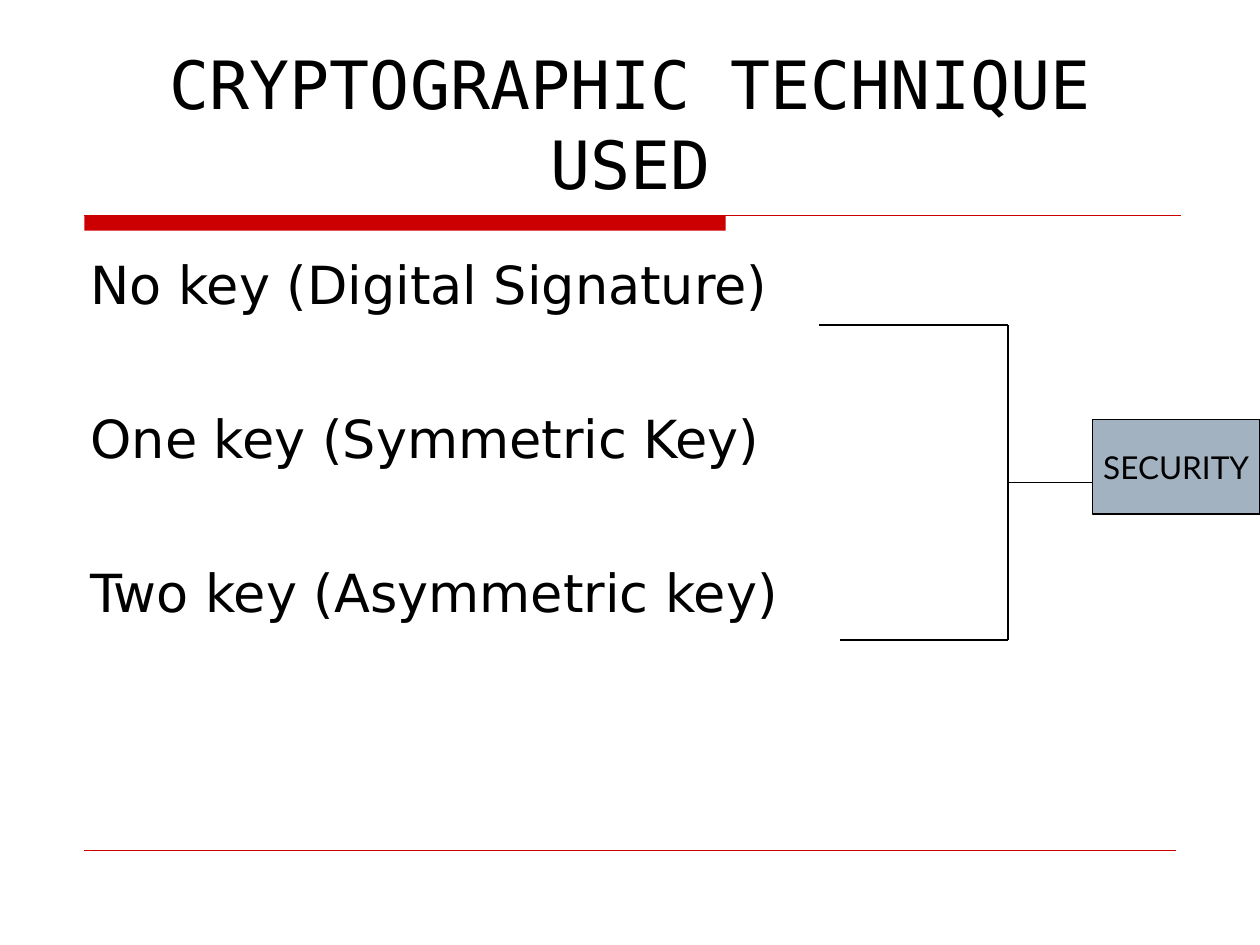
from dataclasses import dataclass

from pptx import Presentation
from pptx import util as u
from pptx.dml.color import RGBColor
from pptx.enum import shapes, text
from pptx.oxml.ns import qn


@dataclass(frozen=True)
class Theme:
    """Colours, fonts and sizes of the slide."""
    black: str = "000000"
    red: str = "CC0000"
    box: str = "A3B2C1"
    title: tuple = ("DejaVu Sans Mono", 38)
    body: tuple = ("DejaVu Sans", 30)
    label: tuple = ("Lato", 18)
    item_gap: float = 52
    line: float = 0.75
    hairline: float = 0.25


THEME = Theme()
TITLE = "CRYPTOGRAPHIC TECHNIQUE USED"
TECHNIQUES = ("No key (Digital Signature)", "One key (Symmetric Key)", "Two key (Asymmetric key)")


def apply_format(target, values):
    """Set every attribute named in values on target."""
    for name, value in values.items():
        setattr(target, name, value)


def add_line(slide, start, end, color, width):
    """Draw a straight line between two points in inches."""
    points = [u.Inches(value) for value in (*start, *end)]
    connector = slide.shapes.add_connector(shapes.MSO_CONNECTOR.STRAIGHT, *points)
    connector.line.color.rgb = RGBColor.from_string(color)
    connector.line.width = u.Pt(width)
    properties = connector._element.spPr
    properties.append(properties.makeelement(qn("a:effectLst"), {}))


def add_rectangle(slide, box, fill):
    """Draw a filled rectangle without shadow."""
    shape = slide.shapes.add_shape(shapes.MSO_SHAPE.RECTANGLE, *map(u.Inches, box))
    shape.shadow.inherit = False
    shape.fill.solid()
    shape.fill.fore_color.rgb = RGBColor.from_string(fill)
    return shape


def write(shape, lines, font, frame_format, paragraph_format, gap=0):
    """Write one paragraph per line, with gap points between them."""
    frame = shape.text_frame
    apply_format(frame, frame_format)
    for index, line in enumerate(lines):
        paragraph = frame.add_paragraph() if index else frame.paragraphs[0]
        apply_format(paragraph, {**paragraph_format, "space_before": u.Pt(gap if index else 0)})
        run = paragraph.add_run()
        run.text = line
        apply_format(run.font, {"name": font[0], "size": u.Pt(font[1])})
        run.font.color.rgb = RGBColor.from_string(THEME.black)


def add_title(slide, box):
    """Place the centred title at the bottom of its box."""
    write(slide.shapes.add_textbox(*map(u.Inches, box)), [TITLE], THEME.title,
          {"word_wrap": True, "vertical_anchor": text.MSO_ANCHOR.BOTTOM},
          {"alignment": text.PP_ALIGN.CENTER})


def add_rules(slide, box):
    """Place the title bar at the top of the box and a hairline at its bottom."""
    left, top, width, height = box
    bar = add_rectangle(slide, (left, top, 5.09, 0.12), THEME.red)
    bar.line.fill.background()
    add_line(slide, (left, top), (left + width, top), THEME.red, THEME.line)
    add_line(slide, (left, top + height), (left + width - 0.04, top + height),
             THEME.red, THEME.hairline)


def add_techniques(slide, box):
    """Place the evenly spaced list of techniques."""
    write(slide.shapes.add_textbox(*map(u.Inches, box)), TECHNIQUES, THEME.body,
          {"word_wrap": True, "margin_top": u.Inches(0.08)},
          {"alignment": text.PP_ALIGN.LEFT}, THEME.item_gap)


def add_security_bracket(slide, box):
    """Join the techniques to the security box with a bracket."""
    left, top, width, height = box
    right, bottom, middle = left + width, top + height, top + height / 2
    box_width, box_height = 1.33, 0.75
    spine, box_left = left + 1.5, right - box_width
    for start, end in (
        ((left, top), (spine, top)),
        ((left + 0.17, bottom), (spine, bottom)),
        ((spine, bottom), (spine, top)),
        ((spine, middle), (box_left, middle)),
    ):
        add_line(slide, start, end, THEME.black, THEME.line)
    security = add_rectangle(slide, (box_left, middle - 0.5, box_width, box_height), THEME.box)
    security.line.color.rgb = RGBColor.from_string(THEME.black)
    security.line.width = u.Pt(THEME.line)
    write(security, ["SECURITY"], THEME.label,
          {"word_wrap": False, "vertical_anchor": text.MSO_ANCHOR.MIDDLE},
          {"alignment": text.PP_ALIGN.CENTER})


def main():
    """Build and save the slide."""
    presentation = Presentation()
    apply_format(presentation, {"slide_width": u.Inches(10), "slide_height": u.Inches(7.5)})
    slide = presentation.slides.add_slide(presentation.slide_layouts[6])
    add_rules(slide, (0.67, 1.71, 8.7, 5.04))
    add_title(slide, (0.63, 0.33, 8.75, 1.33))
    add_techniques(slide, (0.62, 1.92, 8.75, 4.67))
    add_security_bracket(slide, (6.5, 2.58, 3.5, 2.5))
    presentation.save("out.pptx")


if __name__ == "__main__":
    main()
